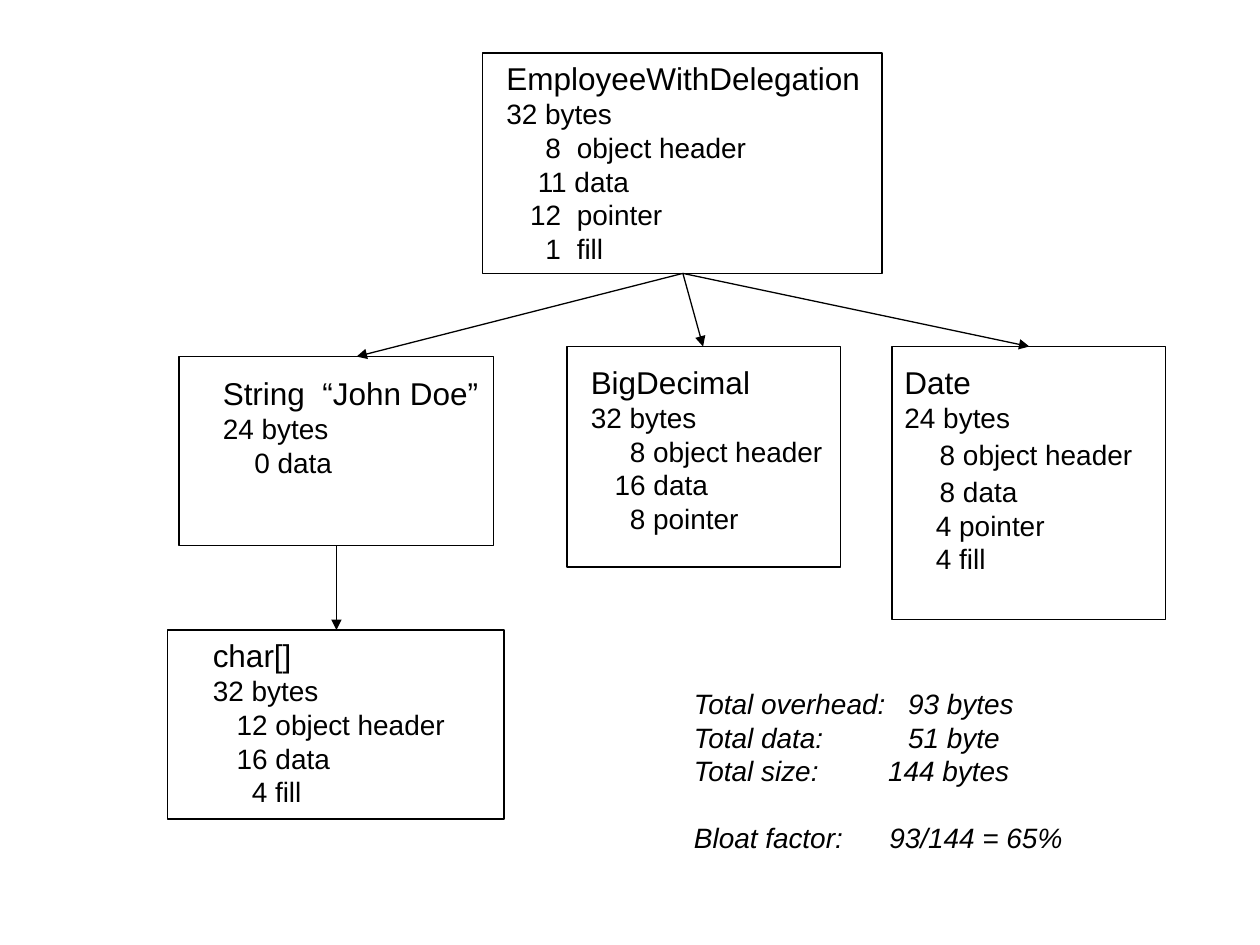
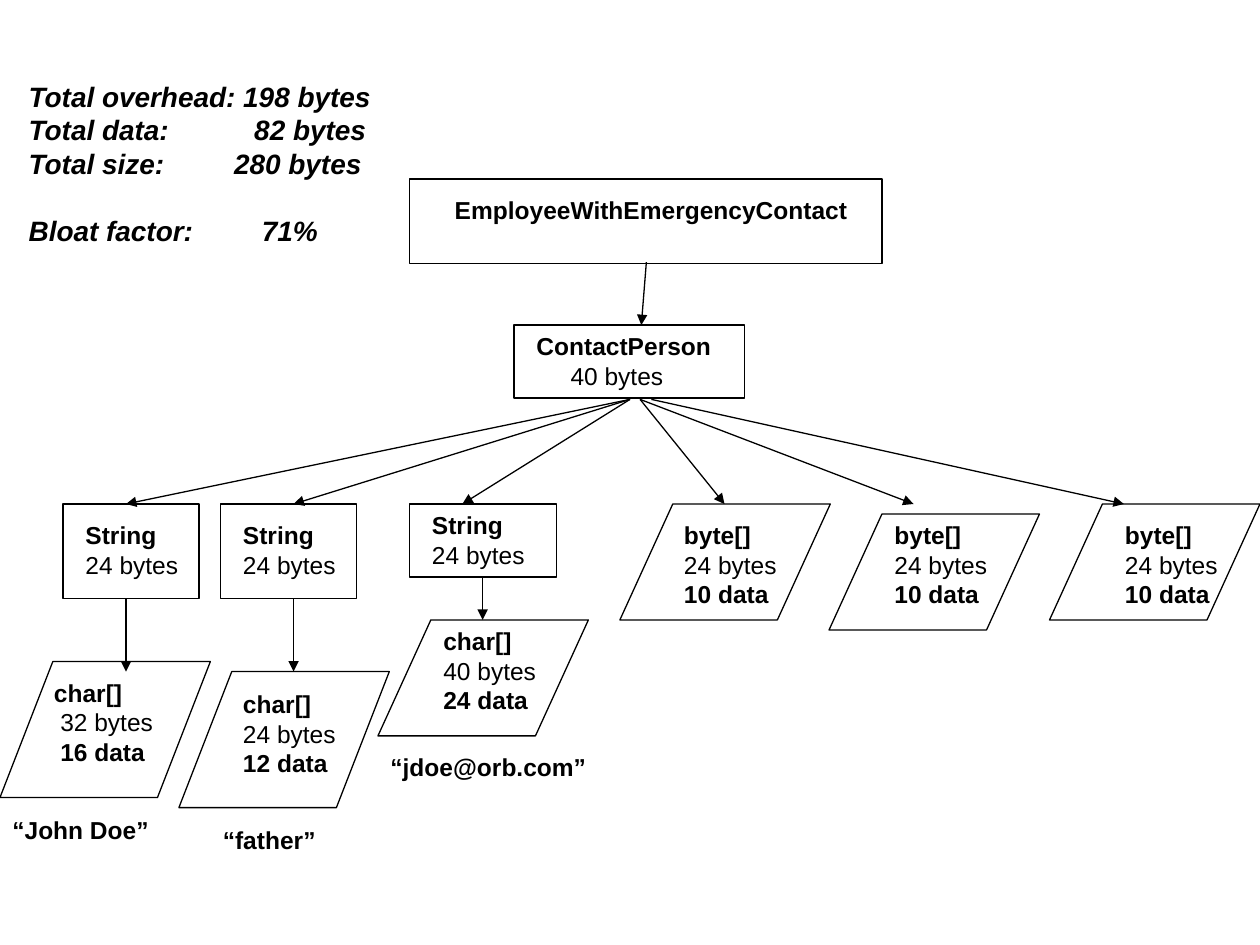
"""Build two diagrams of Java object sizes and their memory overhead."""
from lxml import etree
from pptx import Presentation
from pptx.dml.color import RGBColor
from pptx.enum.shapes import MSO_CONNECTOR, MSO_SHAPE
from pptx.oxml.ns import qn
from pptx.util import Inches, Pt

RECTANGLE = MSO_SHAPE.RECTANGLE
PARALLELOGRAM = MSO_SHAPE.PARALLELOGRAM
STRAIGHT = MSO_CONNECTOR.STRAIGHT
COLORS = {"ink": "000000", "paper": "FFFFFF"}
FONT = "Arial"
LINE_WIDTH = 0.74
SLANT = 0.42


def color(name):
    """Return a palette colour."""
    return RGBColor.from_string(COLORS[name])


def write(paragraph, text, size=16, bold=False, italic=False, start=0, column=None, before=0):
    """Write a line at start; a tab in it leads to column."""
    left = start if column is None else column
    properties = paragraph._p.get_or_add_pPr()
    properties.set("marL", str(Inches(left)))
    properties.set("indent", str(Inches(start - left)))
    paragraph.space_before = Pt(before)
    run = paragraph.add_run()
    run.text = text
    run.font.name = FONT
    run.font.size = Pt(size)
    run.font.bold = bold
    run.font.italic = italic
    run.font.color.rgb = color("ink")


class Diagram:
    """Hold the presentation, its line style and the current slide."""

    def __init__(self):
        """Start a 10 by 7.5 inch presentation."""
        self.deck = Presentation()
        self.deck.slide_width = Inches(10)
        self.deck.slide_height = Inches(7.5)
        self.slide = None

    def new_slide(self):
        """Add a slide without a title."""
        self.slide = self.deck.slides.add_slide(self.deck.slide_layouts[6])
        self.slide.background.fill.solid()
        self.slide.background.fill.fore_color.rgb = color("paper")

    def outline(self, line):
        """Apply the common outline."""
        line.color.rgb = color("ink")
        line.width = Pt(LINE_WIDTH)

    def box(self, left, top, width, height, kind=RECTANGLE):
        """Draw an outlined object box."""
        shape = self.slide.shapes.add_shape(
            kind, Inches(left), Inches(top), Inches(width), Inches(height))
        shape.shadow.inherit = False
        shape.fill.background()
        self.outline(shape.line)
        if kind == PARALLELOGRAM:
            shape.adjustments[0] = SLANT / min(width, height)

    def text(self, left, top, width, height, lines, **style):
        """Write lines, each a string or a (string, format) pair."""
        frame = self.slide.shapes.add_textbox(
            Inches(left), Inches(top), Inches(width), Inches(height)).text_frame
        frame.word_wrap = True
        for number, line in enumerate(lines):
            words, extra = (line, {}) if isinstance(line, str) else line
            paragraph = frame.add_paragraph() if number else frame.paragraphs[0]
            write(paragraph, words, **{**style, **extra})

    def arrow(self, start, end):
        """Draw an arrow between two points."""
        connector = self.slide.shapes.add_connector(
            STRAIGHT, *(Inches(value) for value in (*start, *end)))
        self.outline(connector.line)
        head = etree.SubElement(connector.line._get_or_add_ln(), qn("a:tailEnd"))
        head.set("type", "triangle")
        etree.SubElement(connector._element.spPr, qn("a:effectLst"))

    def node(self, left, top, name, size, data=None):
        """Write the name, size and data of a small object."""
        lines = [(name, {"bold": True}), size]
        if data:
            lines.append((data, {"bold": True}))
        self.text(left, top, 1.05, 0.57 if data is None else 0.8, lines, size=14)


def delegation_slide(diagram):
    """Draw the employee that delegates to other objects."""
    diagram.new_slide()
    for place in ((3.83, 0.42, 3.17, 1.75), (1.42, 2.83, 2.5, 1.5), (1.33, 5, 2.67, 1.5),
                  (4.5, 2.75, 2.17, 1.75), (7.08, 2.75, 2.17, 2.17)):
        diagram.box(*place)
    heading = {"size": 18}
    diagram.text(3.92, 0.42, 3.1, 1.75, [
        ("EmployeeWithDelegation", heading),
        "32 bytes",
        ("8\tobject header", {"start": 0.31, "column": 0.56}),
        ("11 data", {"start": 0.25}),
        ("12\tpointer", {"start": 0.19, "column": 0.56}),
        ("1\tfill", {"start": 0.31, "column": 0.56})])
    diagram.text(1.67, 2.92, 2.4, 0.94, [
        ("String\t“John Doe”", {"size": 18, "column": 0.79}),
        "24 bytes",
        ("0 data", {"start": 0.25})])
    diagram.text(1.59, 5, 2.15, 1.47, [
        ("char[]", heading),
        "32 bytes",
        ("12 object header", {"start": 0.19}),
        ("16 data", {"start": 0.19}),
        ("4 fill", {"start": 0.31})])
    diagram.text(4.59, 2.83, 2.15, 1.47, [
        ("BigDecimal", heading),
        "32 bytes",
        ("8 object header", {"start": 0.31}),
        ("16 data", {"start": 0.19}),
        ("8 pointer", {"start": 0.31})])
    diagram.text(7.08, 2.83, 2.42, 1.8, [
        ("Date", heading),
        "24 bytes",
        ("8 object header", {"start": 0.28, "before": 2}),
        ("8 data", {"start": 0.28, "before": 2}),
        ("4 pointer", {"start": 0.25}),
        ("4 fill", {"start": 0.25})])
    for target in ((2.83, 2.83), (5.58, 2.75), (8.17, 2.75)):
        diagram.arrow((5.42, 2.17), target)
    diagram.arrow((2.67, 4.33), (2.67, 5))
    diagram.text(5.41, 5.4, 3.3, 1.44, [
        ("Total overhead:\t93 bytes", {"column": 1.7}),
        ("Total data:\t51 byte", {"column": 1.7}),
        ("Total size:\t144 bytes", {"column": 1.54}),
        ("Bloat factor:\t93/144 = 65%", {"column": 1.55, "before": 19})], italic=True)


def contact_slide(diagram):
    """Draw the employee with an emergency contact."""
    diagram.new_slide()
    diagram.box(3.25, 1.42, 3.75, 0.67)
    diagram.text(2.92, 1.5, 4.75, 0.57, ["EmployeeWithEmergencyContact"],
                 size=14, bold=True, start=0.59)
    diagram.box(4.08, 2.58, 1.83, 0.58)
    diagram.text(4.16, 2.58, 1.7, 0.57, [
        ("ContactPerson", {"bold": True}), ("40 bytes", {"start": 0.27})], size=14)
    diagram.arrow((5.13, 2.08), (5.09, 2.58))

    strings = ((0.5, 1.08, 0.75, 4.08, 1), (1.75, 1.08, 0.75, 4.08, 2.33),
               (3.25, 1.17, 0.58, 4, 3.67))
    for left, width, height, text_top, target in strings:
        diagram.box(left, 4, width, height)
        diagram.node(left + 0.08, text_top, "String", "24 bytes")
        diagram.arrow((5, 3.17), (target, 4))
    for center, top, bottom in ((1, 4.75, 5.33), (2.33, 4.75, 5.33), (3.83, 4.58, 4.92)):
        diagram.arrow((center, top), (center, bottom))

    for left, top, height in ((0, 5.25, 1.08), (1.42, 5.33, 1.08), (3, 4.92, 0.92)):
        diagram.box(left, top, 1.67, height, PARALLELOGRAM)
    shifted = {"start": 0.05}
    diagram.node(0.33, 5.33, "char[]", ("32 bytes", shifted), None)
    diagram.text(0.33, 5.8, 1.08, 0.34, ["16 data"], size=14, bold=True, **shifted)
    diagram.node(1.83, 5.42, "char[]", "24 bytes", "12 data")
    diagram.node(3.42, 4.92, "char[]", "40 bytes", "24 data")

    byte_arrays = ((4.92, 4, 5.33, 5.08, 5.75), (6.58, 4.08, 7, 5.08, 7.25),
                   (8.33, 4, 8.83, 5.17, 8.92))
    for left, top, text_left, source, target in byte_arrays:
        diagram.box(left, top, 1.67, 0.92, PARALLELOGRAM)
        diagram.node(text_left, 4.08, "byte[]", "24 bytes", "10 data")
        diagram.arrow((source, 3.17), (target, 4))

    for left, top, width, value in ((0, 6.42, 1.4, "“John Doe”"), (1.67, 6.5, 1.05, "“father”"),
                                    (3, 5.92, 1.85, "“jdoe@orb.com”")):
        diagram.text(left, top, width, 0.34, [value], size=14, bold=True)
    diagram.text(0.01, 0.58, 3.1, 1.44, [
        "Total overhead: 198 bytes",
        ("Total data:\t82 bytes", {"column": 1.91}),
        ("Total size:\t280 bytes", {"column": 1.75}),
        ("Bloat factor:\t71%", {"column": 1.97, "before": 19})],
        bold=True, italic=True, start=0.12)


def main():
    """Build and save both slides."""
    diagram = Diagram()
    delegation_slide(diagram)
    contact_slide(diagram)
    diagram.deck.save("out.pptx")


main()
